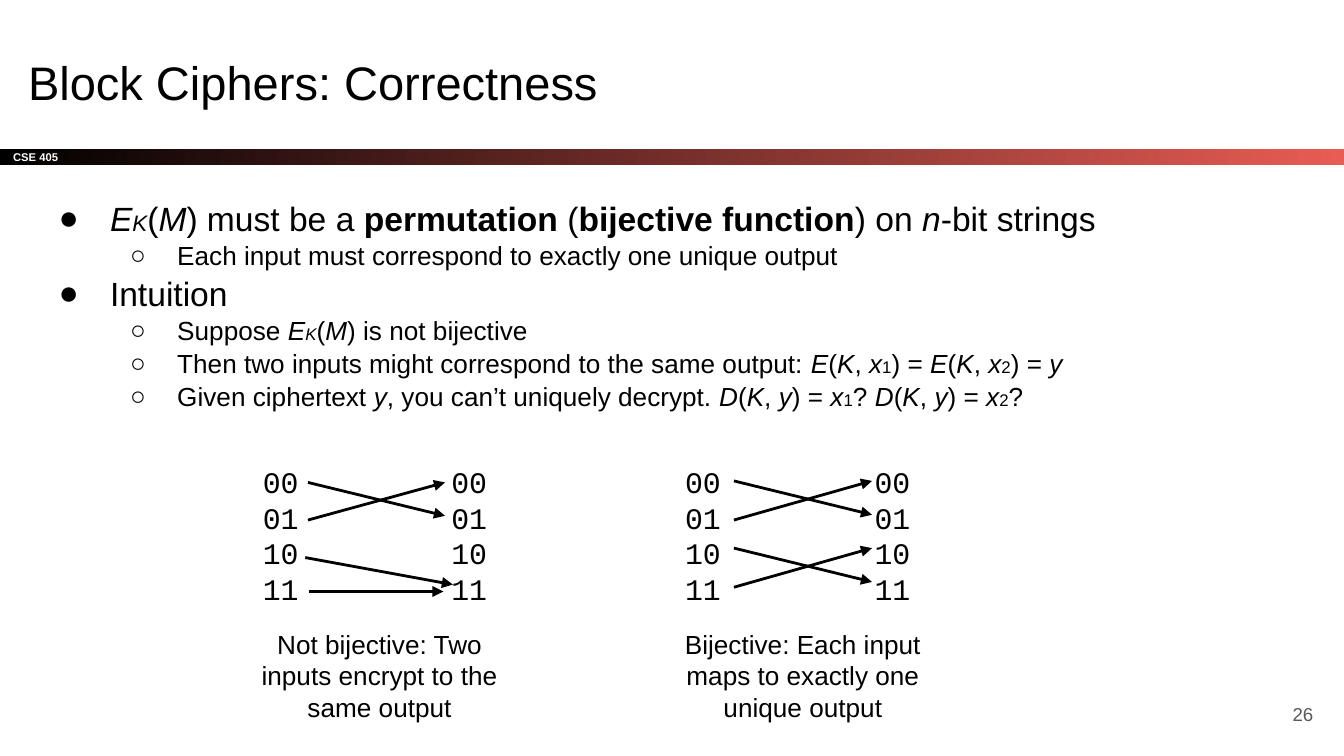
import pptx
import pptx.util
import pptx.dml.color
import pptx.enum.shapes
import pptx.enum.text
import pptx.oxml
import pptx.oxml.ns
import lxml.etree

Cm = pptx.util.Cm
Pt = pptx.util.Pt
ALIGN = pptx.enum.text.PP_ALIGN
ANCHOR = pptx.enum.text.MSO_ANCHOR
COLORS = {"ink": "000000", "paper": "FFFFFF", "glow": "E85C54", "gray": "595959"}
LEVELS = [
    {"size": 18, "small": 12, "mark": "●", "left": 1.27, "hang": -0.97},
    {"size": 14, "small": 9, "mark": "○", "left": 2.54, "hang": -0.89},
]
POINTS = [
    (0, "*E_K_*(*M*) must be a ^permutation^ (^bijective function^) on *n*-bit strings"),
    (1, "Each input must correspond to exactly one unique output"),
    (0, "Intuition"),
    (1, "Suppose *E_K_*(*M*) is not bijective"),
    (1, "Then two inputs might correspond to the same output: "
        "*E*(*K*, *x*_1_) = *E*(*K*, *x*_2_) = *y*"),
    (1, "Given ciphertext *y*, you can’t uniquely decrypt. "
        "*D*(*K*, *y*) = *x*_1_? *D*(*K*, *y*) = *x*_2_?"),
]
CODES = ["00", "01", "10", "11"]


def color(name):
    return pptx.dml.color.RGBColor.from_string(COLORS[name])


def child(parent, tag, **attrs):
    return lxml.etree.SubElement(parent, pptx.oxml.ns.qn(tag), **attrs)


def write(par, text, size=14, small=9, font="Arial", ink="ink", bold=False, align=ALIGN.LEFT):
    """Marks: * italic, ^ bold, _ small."""
    par.alignment = align
    state = {"*": False, "^": bold, "_": False}
    part = ""
    for char in text + "\n":
        if char not in state and char != "\n":
            part += char
            continue
        if part:
            run = par.add_run()
            run.text = part
            run.font.name = font
            run.font.size = Pt(small if state["_"] else size)
            run.font.italic = state["*"]
            run.font.bold = state["^"]
            run.font.color.rgb = color(ink)
            part = ""
        if char in state:
            state[char] = not state[char]


class Deck:
    def __init__(self):
        self.file = pptx.Presentation()
        self.file.slide_width = Cm(25.4)
        self.file.slide_height = Cm(14.29)
        self.slide = self.file.slides.add_slide(self.file.slide_layouts[5])
        self.shapes = self.slide.shapes
        self.slide.background.fill.solid()
        self.slide.background.fill.fore_color.rgb = color("paper")

    def frame(self, shape, anchor=ANCHOR.TOP):
        frame = shape.text_frame
        frame.word_wrap = True
        frame.auto_size = pptx.enum.text.MSO_AUTO_SIZE.NONE
        frame.vertical_anchor = anchor
        frame.margin_left = frame.margin_right = Cm(0.25)
        frame.margin_top = frame.margin_bottom = Cm(0.25)
        return frame

    def title(self, text, left, top, width, height):
        shape = self.shapes.title
        shape.left, shape.top = Cm(left), Cm(top)
        shape.width, shape.height = Cm(width), Cm(height)
        write(self.frame(shape).paragraphs[0], text, size=25.2)

    def band(self, text, left, top, width, height):
        shape = self.shapes.add_shape(
            pptx.enum.shapes.MSO_SHAPE.RECTANGLE, Cm(left), Cm(top), Cm(width), Cm(height))
        shape.shadow.inherit = False
        shape.line.fill.background()
        shape.fill.gradient()
        shape.fill.gradient_angle = 0
        for stop, place, name in zip(shape.fill.gradient_stops, (0, 1), ("ink", "glow")):
            stop.position = place
            stop.color.rgb = color(name)
        frame = self.frame(shape, ANCHOR.MIDDLE)
        write(frame.paragraphs[0], text, size=6, ink="paper", bold=True)

    def box(self, left, top, width, height, anchor=ANCHOR.TOP):
        shape = self.shapes.add_textbox(Cm(left), Cm(top), Cm(width), Cm(height))
        return self.frame(shape, anchor)

    def text(self, lines, left, top, width, height, anchor=ANCHOR.TOP, **style):
        frame = self.box(left, top, width, height, anchor)
        for row, line in enumerate(lines):
            par = frame.add_paragraph() if row else frame.paragraphs[0]
            write(par, line, **style)

    def list(self, points, left, top, width, height):
        frame = self.box(left, top, width, height)
        for row, (level, text) in enumerate(points):
            look = LEVELS[level]
            par = frame.add_paragraph() if row else frame.paragraphs[0]
            par.level = level
            par.line_spacing = 1.05
            write(par, text, size=look["size"], small=look["small"])
            props = par._p.get_or_add_pPr()
            props.set("marL", str(Cm(look["left"])))
            props.set("indent", str(Cm(look["hang"])))
            child(child(props, "a:buClr"), "a:srgbClr", val=COLORS["ink"])
            child(props, "a:buFont", typeface="Arial")
            child(props, "a:buChar", char=look["mark"])

    def arrow(self, *ends):
        line = self.shapes.add_connector(
            pptx.enum.shapes.MSO_CONNECTOR.STRAIGHT, *[Cm(end) for end in ends])
        line.line.color.rgb = color("ink")
        line.line.width = Pt(1.5)
        child(line.line._get_or_add_ln(), "a:tailEnd", type="triangle")
        child(line._element.spPr, "a:effectLst")


def main():
    deck = Deck()
    deck.band("CSE 405", 0, 2.82, 25.4, 0.3)
    deck.title("Block Ciphers: Correctness", 0.28, 0.76, 23.67, 1.6)
    deck.list(POINTS, 0.56, 3.45, 23.67, 4.65)
    for left in (4.72, 8.28, 12.7, 16.28):
        deck.text(CODES, left, 8.51, 1.4, 3.25, size=16, font="Courier New")

    deck.arrow(5.82, 9.12, 8.41, 9.75)
    deck.arrow(5.82, 9.83, 8.41, 9.12)
    deck.arrow(5.77, 10.54, 8.56, 11.05)
    deck.arrow(5.84, 11.18, 8.38, 11.18)
    for top in (9.09, 10.36):
        deck.arrow(13.87, top, 16.48, top + 0.64)
        deck.arrow(13.87, top + 0.74, 16.48, top)

    notes = [(4.37, "Not bijective: Two inputs encrypt to the same output"),
             (12.37, "Bijective: Each input maps to exactly one unique output")]
    for left, note in notes:
        deck.text([note], left, 11.63, 5.61, 2.31, align=ALIGN.CENTER)
    deck.text(["26"], 23.55, 12.95, 1.52, 1.09, ANCHOR.MIDDLE,
              size=10, ink="gray", align=ALIGN.RIGHT)
    deck.file.save("out.pptx")


if __name__ == "__main__":
    main()
